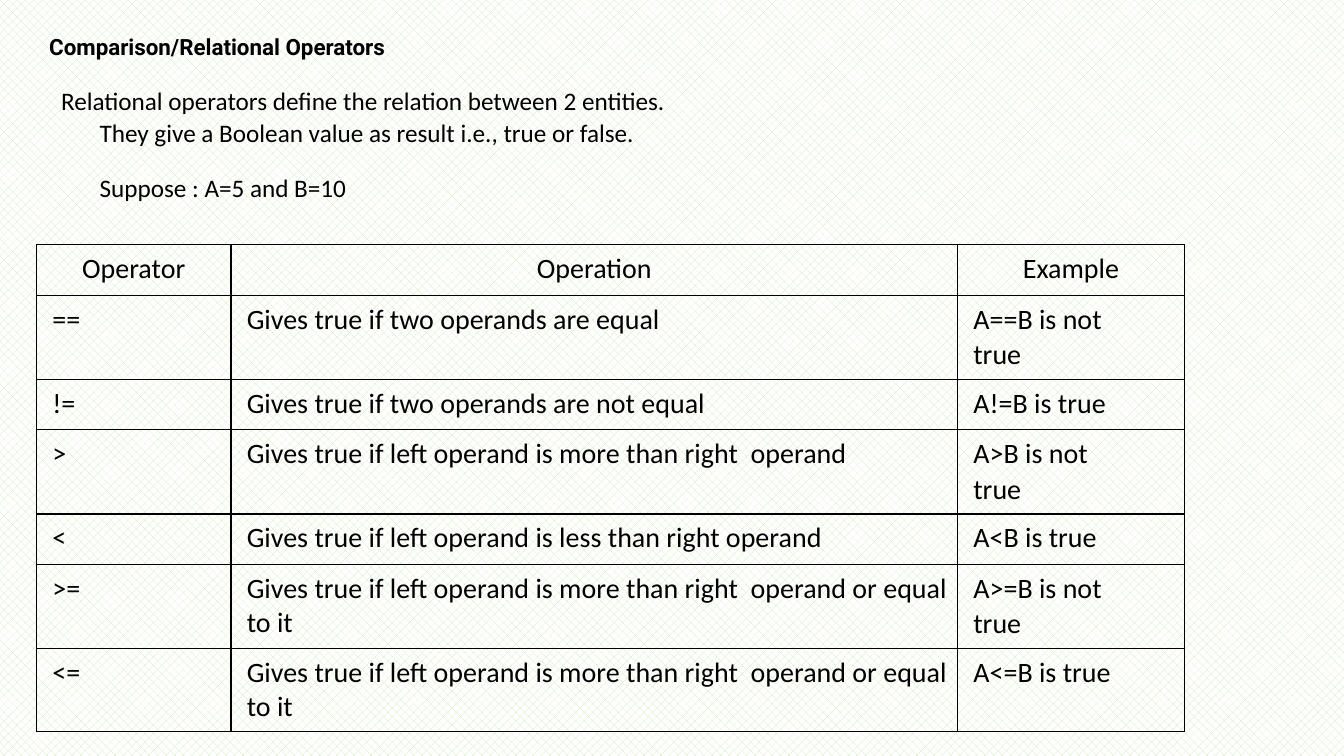
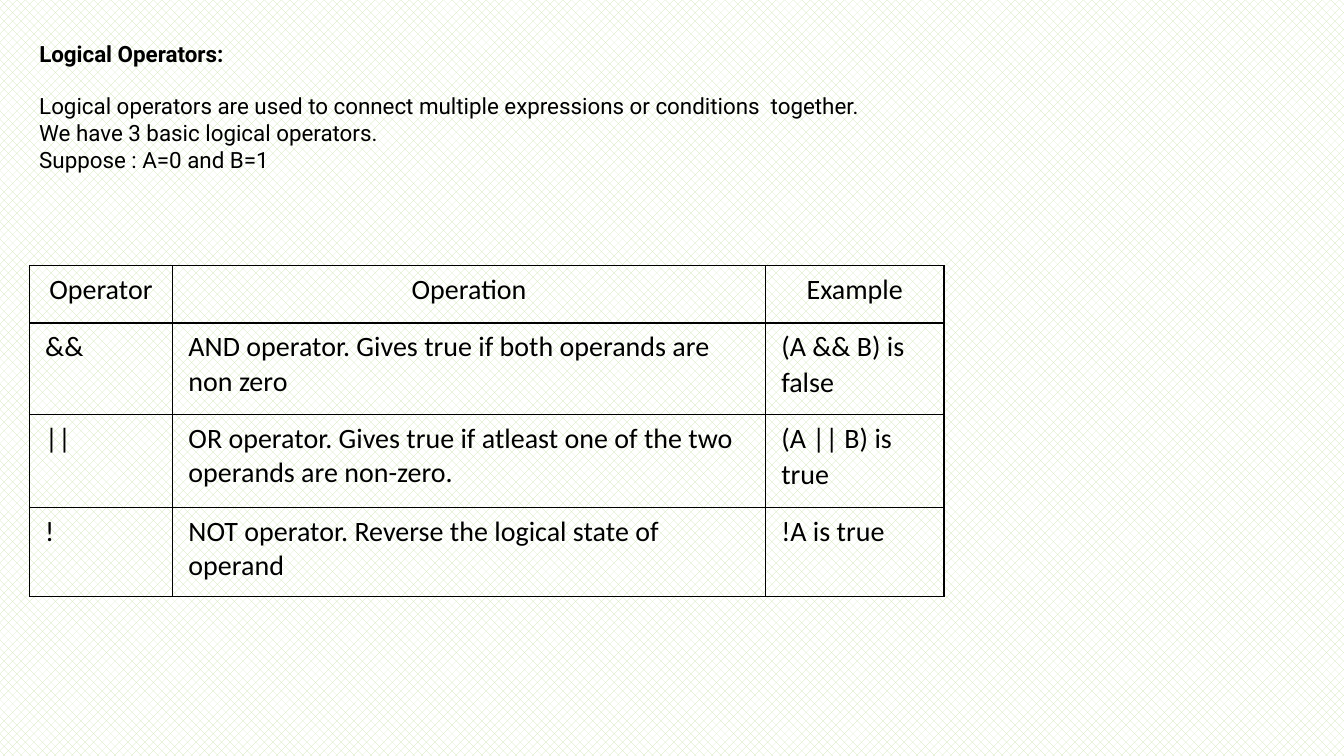
"""Build two slides that explain relational and logical operators."""
from dataclasses import dataclass

from lxml.etree import SubElement
from pptx import Presentation
from pptx.dml.color import RGBColor
from pptx.enum.dml import MSO_PATTERN
from pptx.enum.text import MSO_ANCHOR, MSO_AUTO_SIZE, PP_ALIGN
from pptx.oxml.ns import qn
from pptx.presentation import Presentation as Deck
from pptx.slide import Slide
from pptx.table import _Cell as Cell
from pptx.text.text import TextFrame, _Paragraph as Paragraph
from pptx.util import Cm, Pt


@dataclass(frozen=True)
class TextStyle:
    """Font family, size in points and weight."""
    family: str
    size: float
    bold: bool = False


@dataclass(frozen=True)
class Theme:
    """Colours, text styles and measures shared by the slides."""
    ink: RGBColor = RGBColor(0x00, 0x00, 0x00)
    paper: RGBColor = RGBColor(0xFF, 0xFF, 0xFF)
    hatch: RGBColor = RGBColor(0xD1, 0xE6, 0xB5)
    hatch_pattern: str = "pct40"
    title: TextStyle = TextStyle("Roboto", 16, bold=True)
    plain: TextStyle = TextStyle("Roboto", 16)
    lead: TextStyle = TextStyle("Calibri", 18)
    cell: TextStyle = TextStyle("Calibri", 20)
    text_width: float = 27
    title_height: float = 0.66
    body_offset: float = 1.32
    body_height: float = 3
    cell_margin: float = 0.18
    cell_indent: float = 0.22
    second_line_gap: float = 0.9
    border_width: float = 1


THEME = Theme()


@dataclass(frozen=True)
class BodyLine:
    """One line of body text, indent in centimetres and gap in points."""
    text: str
    indent: float = 0
    space_before: float = 0


@dataclass(frozen=True)
class OperatorTable:
    """Place in centimetres, and rows, of an operator table."""
    left: float
    top: float
    column_widths: tuple[float, ...]
    row_heights: tuple[float, ...]
    rows: tuple[tuple[str, str, str], ...]


@dataclass(frozen=True)
class OperatorSlide:
    """Content of one slide, places in centimetres."""
    title: str
    title_left: float
    title_top: float
    body_left: float
    body_style: TextStyle
    body: tuple[BodyLine, ...]
    table: OperatorTable


HEADINGS = ("Operator", "Operation", "Example")
SHORT_ROW, TALL_ROW = 1.27, 2.07

SLIDES = (
    OperatorSlide(
        title="Comparison/Relational Operators",
        title_left=1.24,
        title_top=0.84,
        body_left=1.54,
        body_style=THEME.lead,
        body=(
            BodyLine("Relational operators define the relation between 2 entities."),
            BodyLine("They give a Boolean value as result i.e., true or false.", 0.97, 0.7),
            BodyLine("Suppose : A=5 and B=10", 0.97, 17.9),
        ),
        table=OperatorTable(
            left=0.92,
            top=6.17,
            column_widths=(4.9, 18.31, 5.72),
            row_heights=(SHORT_ROW, TALL_ROW, SHORT_ROW, TALL_ROW,
                         SHORT_ROW, TALL_ROW, TALL_ROW),
            rows=(
                HEADINGS,
                ("==", "Gives true if two operands are equal", "A==B is not\ntrue"),
                ("!=", "Gives true if two operands are not equal", "A!=B is true"),
                (">", "Gives true if left operand is more than right  operand",
                 "A>B is not\ntrue"),
                ("<", "Gives true if left operand is less than right operand",
                 "A<B is true"),
                (">=", "Gives true if left operand is more than right  operand or equal to it",
                 "A>=B is not\ntrue"),
                ("<=", "Gives true if left operand is more than right  operand or equal to it",
                 "A<=B is true"),
            ),
        ),
    ),
    OperatorSlide(
        title="Logical Operators:",
        title_left=0.99,
        title_top=1,
        body_left=0.99,
        body_style=THEME.plain,
        body=(
            BodyLine("Logical operators are used to connect multiple expressions "
                     "or conditions  together."),
            BodyLine("We have 3 basic logical operators."),
            BodyLine("Suppose : A=0 and B=1"),
        ),
        table=OperatorTable(
            left=0.74,
            top=6.69,
            column_widths=(3.61, 14.94, 4.5),
            row_heights=(1.45, 2.31, 2.34, 2.24),
            rows=(
                HEADINGS,
                ("&&", "AND operator. Gives true if both operands are non zero",
                 "(A && B) is\nfalse"),
                ("||", "OR operator. Gives true if atleast one of the two  operands are non-zero.",
                 "(A || B) is\ntrue"),
                ("!", "NOT operator. Reverse the logical state of operand", "!A is true"),
            ),
        ),
    ),
)


def style_paragraph(paragraph: Paragraph, style: TextStyle) -> None:
    """Apply a text style in the ink colour."""
    font = paragraph.font
    font.name = style.family
    font.size = Pt(style.size)
    font.bold = style.bold
    font.color.rgb = THEME.ink


def prepare_frame(frame: TextFrame) -> None:
    """Give a text frame no margins, top anchoring and wrapping."""
    frame.margin_left = frame.margin_right = frame.margin_top = frame.margin_bottom = 0
    frame.vertical_anchor = MSO_ANCHOR.TOP
    frame.auto_size = MSO_AUTO_SIZE.NONE
    frame.word_wrap = True


def add_title(slide: Slide, content: OperatorSlide) -> None:
    """Place and format the title placeholder."""
    title = slide.shapes.title
    title.left, title.top = Cm(content.title_left), Cm(content.title_top)
    title.width, title.height = Cm(THEME.text_width), Cm(THEME.title_height)
    prepare_frame(title.text_frame)
    title.text_frame.text = content.title
    paragraph = title.text_frame.paragraphs[0]
    paragraph.alignment = PP_ALIGN.LEFT
    style_paragraph(paragraph, THEME.title)


def add_body(slide: Slide, content: OperatorSlide) -> None:
    """Add the explanation one blank line below the title."""
    box = slide.shapes.add_textbox(
        Cm(content.body_left), Cm(content.title_top + THEME.body_offset),
        Cm(THEME.text_width), Cm(THEME.body_height))
    frame = box.text_frame
    prepare_frame(frame)
    frame.text = "\n".join(line.text for line in content.body)
    for paragraph, line in zip(frame.paragraphs, content.body):
        paragraph.space_before = Pt(line.space_before)
        paragraph._p.get_or_add_pPr().set("marL", str(Cm(line.indent)))
        style_paragraph(paragraph, content.body_style)


def add_borders(cell: Cell) -> None:
    """Draw a solid line on each side of a cell."""
    properties = cell._tc.get_or_add_tcPr()
    for side in ("a:lnL", "a:lnR", "a:lnT", "a:lnB"):
        line = SubElement(properties, qn(side), w=str(Pt(THEME.border_width)))
        fill = SubElement(line, qn("a:solidFill"))
        SubElement(fill, qn("a:srgbClr"), val=str(THEME.ink))


def fill_cell(cell: Cell, text: str, is_heading: bool) -> None:
    """Write and format one table cell."""
    add_borders(cell)
    cell.fill.background()
    margin = Cm(THEME.cell_margin)
    cell.margin_left = cell.margin_right = cell.margin_top = cell.margin_bottom = margin
    if not is_heading:
        cell.margin_left = Cm(THEME.cell_margin + THEME.cell_indent)
    cell.text_frame.text = text
    for index, paragraph in enumerate(cell.text_frame.paragraphs):
        paragraph.alignment = PP_ALIGN.CENTER if is_heading else PP_ALIGN.LEFT
        if index:
            paragraph.space_before = Pt(THEME.second_line_gap)
        style_paragraph(paragraph, THEME.cell)


def add_operator_table(slide: Slide, content: OperatorTable) -> None:
    """Add the bordered table of operators."""
    table = slide.shapes.add_table(
        len(content.rows), len(content.column_widths),
        Cm(content.left), Cm(content.top),
        Cm(sum(content.column_widths)), Cm(sum(content.row_heights))).table
    table.first_row = table.horz_banding = False
    for column, width in zip(table.columns, content.column_widths):
        column.width = Cm(width)
    for row_index, (row, height) in enumerate(zip(table.rows, content.row_heights)):
        row.height = Cm(height)
        for cell, text in zip(row.cells, content.rows[row_index]):
            fill_cell(cell, text, is_heading=row_index == 0)


def set_background(presentation: Deck) -> None:
    """Give the slide master its hatched background."""
    fill = presentation.slide_master.background.fill
    fill.patterned()
    fill.pattern = MSO_PATTERN.from_xml(THEME.hatch_pattern)
    fill.fore_color.rgb = THEME.hatch
    fill.back_color.rgb = THEME.paper


def main() -> None:
    """Build and save the presentation."""
    presentation = Presentation()
    presentation.slide_width, presentation.slide_height = Cm(33.87), Cm(19.05)
    set_background(presentation)
    title_only = presentation.slide_layouts.get_by_name("Title Only")
    for content in SLIDES:
        slide = presentation.slides.add_slide(title_only)
        add_title(slide, content)
        add_body(slide, content)
        add_operator_table(slide, content.table)
    presentation.save("out.pptx")


if __name__ == "__main__":
    main()
